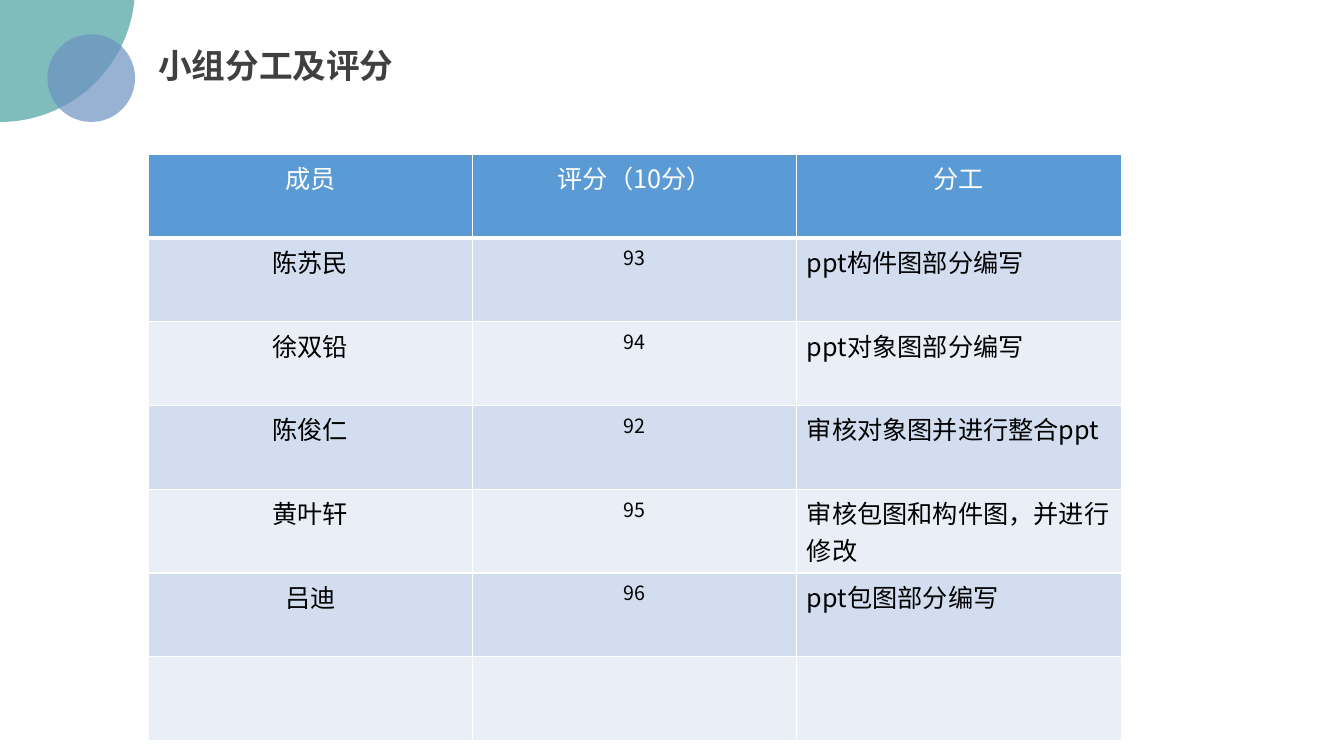
from lxml import etree
from pptx import Presentation
from pptx.dml import color
from pptx.enum import shapes, text
from pptx.oxml import ns
from pptx.util import Inches, Pt

FONT = "Noto Sans CJK SC"
HEAD = ["成员", "评分（10分）", "分工"]
TEAM = [
    ["陈苏民", "93", "ppt构件图部分编写"],
    ["徐双铅", "94", "ppt对象图部分编写"],
    ["陈俊仁", "92", "审核对象图并进行整合ppt"],
    ["黄叶轩", "95", "审核包图和构件图，并进行修改"],
    ["吕迪", "96", "ppt包图部分编写"],
    ["", "", ""],
]
SIZES = [18, 14, 18]
ALIGN = text.PP_ALIGN


def rgb(code):
    return color.RGBColor.from_string(code)


def add(parent, tag, **attrs):
    return etree.SubElement(parent, ns.qn(tag), attrs)


def style(para, size, code, bold=False, align=ALIGN.LEFT):
    para.alignment = align
    font = para.font
    font.size, font.bold, font.name = Pt(size), bold, FONT
    font.color.rgb = rgb(code)
    add(para._p.pPr.find(ns.qn("a:defRPr")), "a:ea", typeface=FONT)


def add_disc(slide, left, top, size, code):
    """Draw a circle that lets 30% of what lies behind show."""
    disc = slide.shapes.add_shape(
        shapes.MSO_SHAPE.OVAL, Inches(left), Inches(top), Inches(size), Inches(size))
    disc.shadow.inherit = False
    disc.line.fill.background()
    disc.fill.solid()
    disc.fill.fore_color.rgb = rgb(code)
    add(disc.fill._xPr.find(".//" + ns.qn("a:srgbClr")), "a:alpha", val="70000")


def set_title(slide, words):
    title = slide.shapes.title
    title.left, title.top = Inches(1.47), Inches(0.4)
    title.width, title.height = Inches(2.56), Inches(0.5)
    frame = title.text_frame
    frame.text = words
    frame.word_wrap = False
    frame.auto_size = text.MSO_AUTO_SIZE.NONE
    frame.vertical_anchor = text.MSO_ANCHOR.TOP
    para = frame.paragraphs[0]
    style(para, 24, "404040", bold=True)
    para.line_spacing = 1.0


def add_edges(cell, head):
    props = cell._tc.get_or_add_tcPr()
    for side in "LRTB":
        width = Pt(3 if head and side == "B" else 1)
        line = add(props, f"a:ln{side}", w=str(width))
        add(add(line, "a:solidFill"), "a:srgbClr", val="FFFFFF")


def fill_cell(cell, words, size, align, back, ink, head):
    add_edges(cell, head)
    cell.fill.solid()
    cell.fill.fore_color.rgb = rgb(back)
    cell.text = words
    style(cell.text_frame.paragraphs[0], size, ink, align=align)


def add_grid(slide):
    rows = [HEAD] + TEAM
    grid = slide.shapes.add_table(
        len(rows), len(HEAD), Inches(1.47), Inches(1.53), Inches(9.65), Inches(5.82)).table
    grid.first_row = grid.horz_banding = False
    for r, row in enumerate(rows):
        head = r == 0
        back = "5B9BD5" if head else "D2DEEF" if r % 2 else "EAEFF7"
        ink = "FFFFFF" if head else "000000"
        for c, words in enumerate(row):
            size = 18 if head else SIZES[c]
            align = ALIGN.CENTER if head or c < 2 else ALIGN.LEFT
            fill_cell(grid.cell(r, c), words, size, align, back, ink, head)


def main():
    deck = Presentation()
    deck.slide_width, deck.slide_height = Inches(13.33), Inches(7.5)
    slide = deck.slides.add_slide(deck.slide_layouts[5])
    add_disc(slide, -1.34, -1.47, 2.68, "48A2A0")
    add_disc(slide, 0.47, 0.34, 0.87, "6C92C0")
    set_title(slide, "小组分工及评分")
    add_grid(slide)
    deck.save("out.pptx")


if __name__ == "__main__":
    main()
